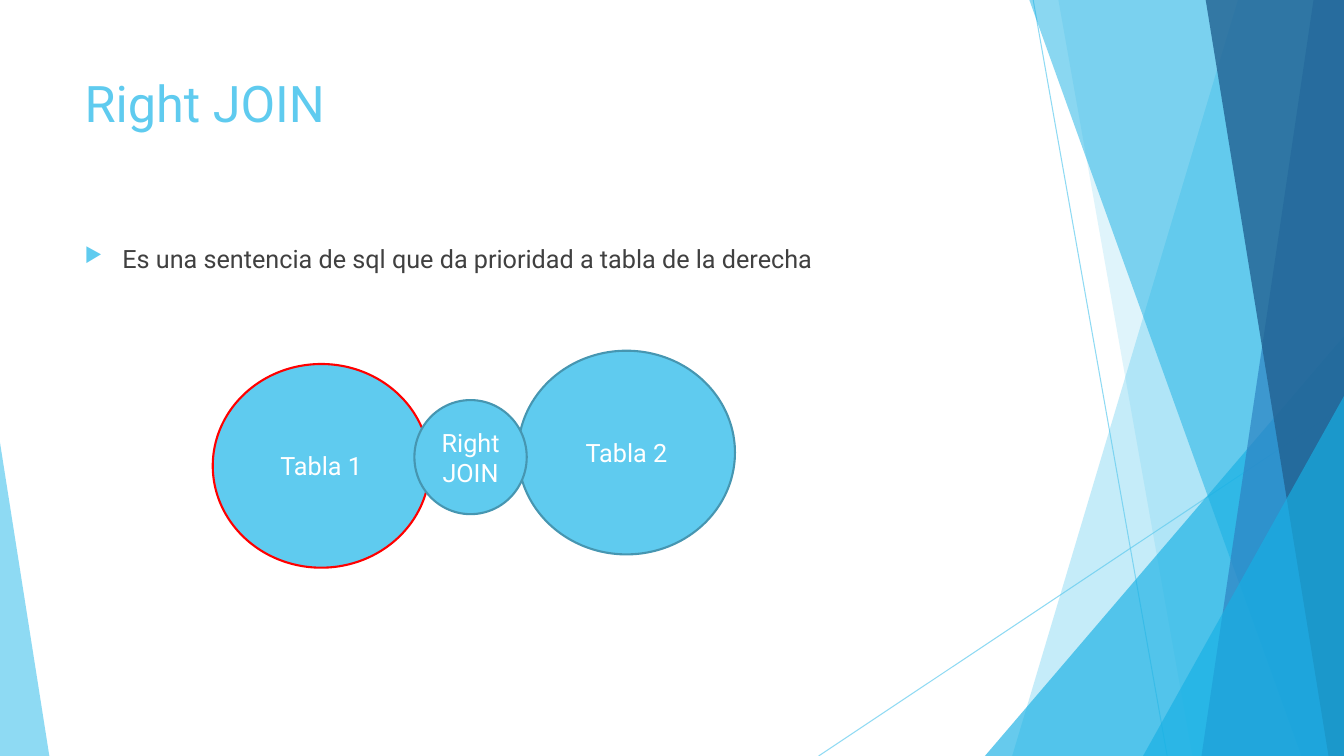
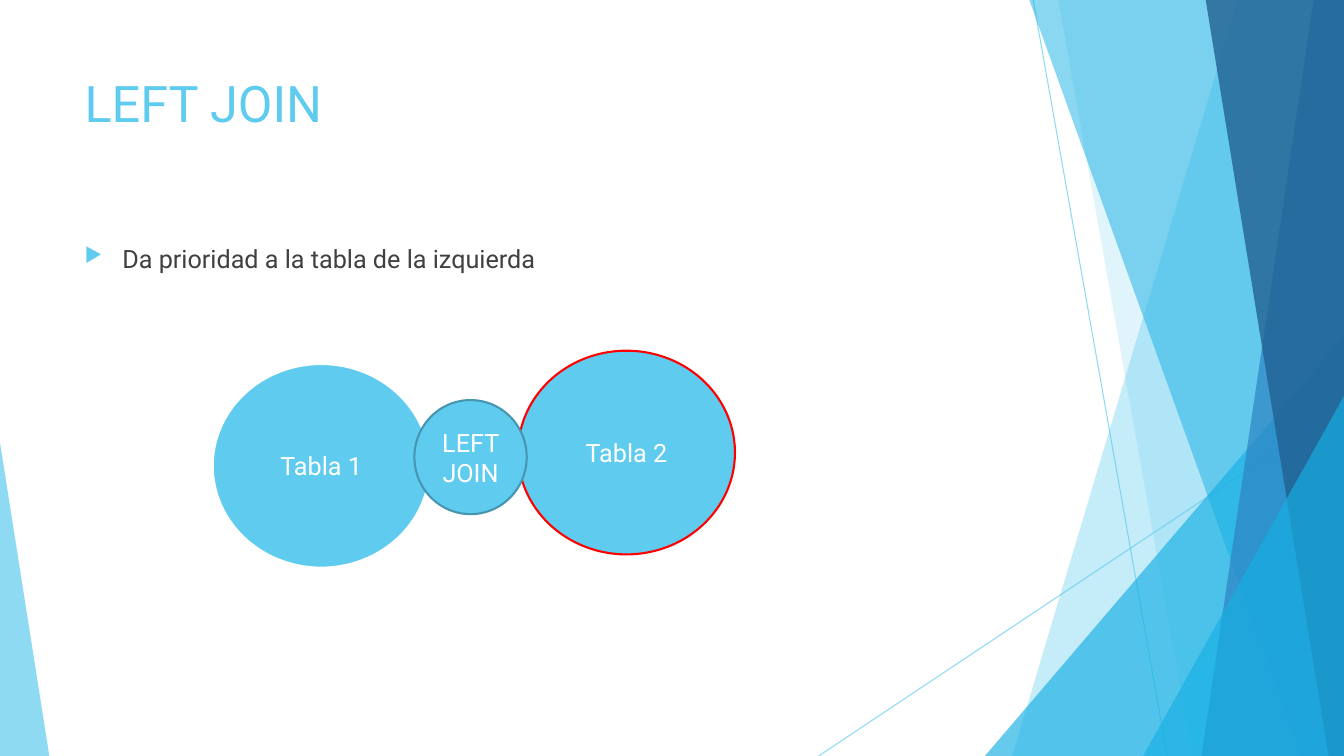
from lxml import etree
from pptx import Presentation, util as u
from pptx.dml.color import RGBColor
from pptx.enum import shapes, text
from pptx.oxml.ns import qn

WIDTH, HEIGHT = 960, 540
SKY, CYAN, BLUE, NAVY = "5FCBEF", "17B0E4", "2E83C3", "226292"
STEEL, RED, WHITE, GREY = "4696B1", "FF0000", "FFFFFF", "404040"


def color(hex_code):
    return RGBColor.from_string(hex_code)


def add_xml(parent, tag, **attributes):
    return etree.SubElement(parent, qn(tag), attributes)


def set_opacity(shape, percent):
    for rgb in shape.element.iter(qn("a:srgbClr")):
        add_xml(rgb, "a:alpha", val=str(percent * 1000))


def write(shape, words, size=18, fill=GREY, align=text.PP_ALIGN.LEFT,
          anchor=text.MSO_ANCHOR.TOP):
    frame = shape.text_frame
    frame.word_wrap = True
    frame.vertical_anchor = anchor
    paragraph = frame.paragraphs[0]
    paragraph.alignment = align
    run = paragraph.add_run()
    run.text = words
    run.font.name = "Roboto"
    run.font.size = u.Pt(size)
    run.font.color.rgb = color(fill)
    return paragraph


class Deck:
    def __init__(self):
        self.show = Presentation()
        self.show.slide_width = u.Pt(WIDTH)
        self.show.slide_height = u.Pt(HEIGHT)
        self.slide = None

    def paint(self, shape, fill, opacity=None, outline=None):
        shape.shadow.inherit = False
        shape.fill.solid()
        shape.fill.fore_color.rgb = color(fill)
        if opacity is not None:
            set_opacity(shape, opacity)
        if outline:
            shape.line.color.rgb = color(outline)
            shape.line.width = u.Pt(1.5)
        else:
            shape.line.fill.background()

    def hairline(self, *ends):
        line = self.slide.shapes.add_connector(
            shapes.MSO_CONNECTOR.STRAIGHT, *map(u.Pt, ends))
        line.line.color.rgb = color(SKY)
        line.line.width = u.Pt(0.75)
        set_opacity(line, 70)
        add_xml(line.element.spPr, "a:effectLst")

    def band(self, top_x, bottom_x, fill, opacity):
        """Full-height band from a slanted left edge to the right slide edge."""
        builder = self.slide.shapes.build_freeform(u.Pt(top_x), 0)
        corners = [(WIDTH, 0), (WIDTH, HEIGHT), (bottom_x, HEIGHT)]
        builder.add_line_segments([(u.Pt(x), u.Pt(y)) for x, y in corners])
        self.paint(builder.convert_to_shape(), fill, opacity)

    def corner(self, left, top, right, apex, fill, opacity):
        """Triangle standing on the bottom slide edge."""
        triangle = self.slide.shapes.add_shape(
            shapes.MSO_SHAPE.ISOSCELES_TRIANGLE,
            *map(u.Pt, (left, top, right - left, HEIGHT - top)))
        triangle.adjustments[0] = apex
        self.paint(triangle, fill, opacity)

    def text_box(self, left, top, width, height, words, **style):
        box = self.slide.shapes.add_textbox(
            *map(u.Pt, (left, top, width, height)))
        return write(box, words, **style)

    def bullet(self, *place_and_words):
        paragraph = self.text_box(*place_and_words)
        paragraph.space_before = u.Pt(10)
        indent = u.Pt(27)
        props = paragraph._p.get_or_add_pPr()
        props.set("marL", str(indent))
        props.set("indent", str(-indent))
        add_xml(add_xml(props, "a:buClr"), "a:srgbClr", val=SKY)
        add_xml(props, "a:buSzPct", val="80000")
        add_xml(props, "a:buChar", char="\u25b6")

    def circle(self, left, top, width, height, words, outline):
        oval = self.slide.shapes.add_shape(
            shapes.MSO_SHAPE.OVAL, *map(u.Pt, (left, top, width, height)))
        self.paint(oval, SKY, outline=outline)
        write(oval, words, fill=WHITE, align=text.PP_ALIGN.CENTER,
              anchor=text.MSO_ANCHOR.MIDDLE)

    def backdrop(self):
        self.hairline(738, 0, 833.75, HEIGHT)
        self.hairline(WIDTH, 290, 584.75, HEIGHT)
        self.band(884.25, 723, SKY, 36)
        self.band(756, 851.75, SKY, 20)
        self.corner(703.5, 240, WIDTH, 1, CYAN, 66)
        self.band(735.25, 929.5, CYAN, 50)
        self.band(938.25, 858.25, BLUE, 70)
        self.band(861.25, 949, NAVY, 80)
        self.corner(816.5, 283, WIDTH, 1, CYAN, 66)
        self.corner(0, 316, 35.25, 0, SKY, 70)

    def join_slide(self, title, definition, left_outline, right_outline):
        self.slide = self.show.slides.add_slide(self.show.slide_layouts[6])
        self.backdrop()
        # Title and definition
        self.text_box(53.3, 48.25, 677, 104, title, size=36, fill=SKY)
        self.bullet(53.3, 170, 677, 305, definition)
        # Two tables linked by the join
        self.circle(152, 260, 155, 145.5, "Tabla 1", left_outline)
        self.circle(370, 250.5, 155, 145.5, "Tabla 2", right_outline)
        self.circle(296, 285.75, 80.25, 81.5, title, STEEL)


deck = Deck()
deck.join_slide("Right JOIN",
                "Es una sentencia de sql que da prioridad a tabla de la derecha",
                RED, STEEL)
deck.join_slide("LEFT JOIN", "Da prioridad a la tabla de la izquierda",
                WHITE, RED)
deck.show.save("out.pptx")
